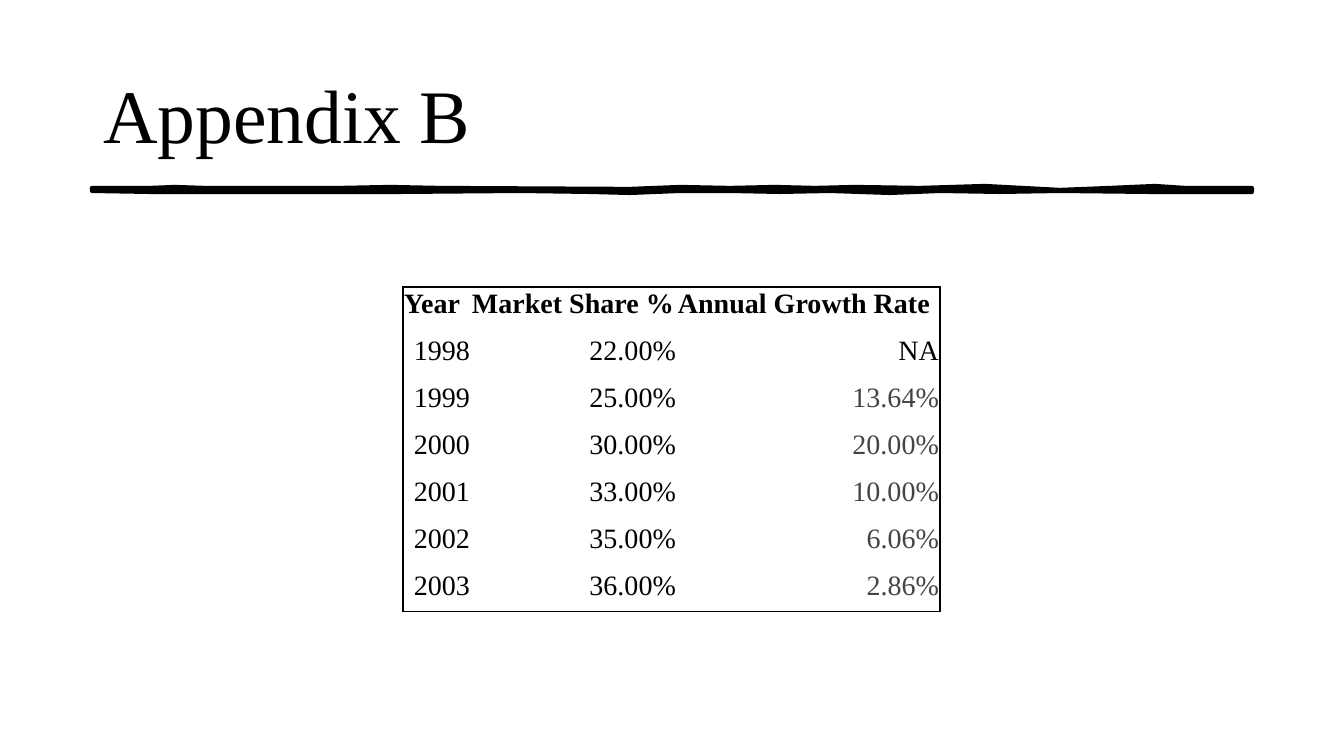
import pptx
import pptx.dml.color
import pptx.enum.text
import pptx.oxml
import pptx.oxml.ns
import pptx.util

PX = 12192000 / 1344
FONT = "Times New Roman"
BLACK, GREY = "000000", "444444"

TITLE = "Appendix B"
TITLE_BOX = (93, 40, 1159, 146)

HEADER = ("Year", "Market Share %", "Annual Growth Rate")
ROWS = [
    ("1998", "22.00%", "NA"),
    ("1999", "25.00%", "13.64%"),
    ("2000", "30.00%", "20.00%"),
    ("2001", "33.00%", "10.00%"),
    ("2002", "35.00%", "6.06%"),
    ("2003", "36.00%", "2.86%"),
]
TABLE_LEFT, TABLE_TOP = 403, 287
COLUMN_WIDTHS = (68, 206, 263)
HEADER_HEIGHT, ROW_HEIGHT = 43, 47

# Brush stroke under the title: top edge rightwards, bottom edge leftwards
STROKE_TOP = [
    (92, 188), (150, 188), (175, 187), (205, 188), (340, 188), (390, 187),
    (440, 188), (630, 189), (680, 187), (730, 188), (775, 187), (815, 188),
    (855, 187), (920, 188), (985, 186), (1060, 190), (1110, 188),
    (1155, 186), (1185, 188), (1252, 188),
]
STROKE_BOTTOM = [
    (1252, 192), (1150, 192), (1060, 191), (1000, 192), (940, 191),
    (890, 193), (830, 191), (780, 192), (730, 191), (680, 191), (630, 193),
    (590, 192), (520, 191), (400, 192), (340, 192), (230, 192), (150, 192),
    (92, 191),
]


def emu(px):
    return pptx.util.Emu(round(px * PX))


def rgb(hex_color):
    return pptx.dml.color.RGBColor.from_string(hex_color)


def apply_format(target, values):
    for name, value in values.items():
        setattr(target, name, value)


def write(frame, text, size, color, bold=False, align="LEFT", spacing=None):
    para = frame.paragraphs[0]
    para.alignment = getattr(pptx.enum.text.PP_ALIGN, align)
    if spacing:
        para.line_spacing = spacing
    span = para.add_run()
    span.text = text
    apply_format(span.font, {"name": FONT, "size": pptx.util.Pt(size), "bold": bold})
    span.font.color.rgb = rgb(color)


def set_borders(cell, visible):
    """Draw a thin black line on the sides named in visible, none on the others."""
    properties = cell._tc.get_or_add_tcPr()
    for index, side in enumerate("LRTB"):
        paint = "<a:noFill/>"
        if side in visible:
            paint = f'<a:solidFill><a:srgbClr val="{BLACK}"/></a:solidFill>'
        line = pptx.oxml.parse_xml(
            f'<a:ln{side} {pptx.oxml.ns.nsdecls("a")} w="12700">{paint}</a:ln{side}>')
        properties.insert(index, line)


def add_title(page):
    box = page.shapes.title
    left, top, width, height = map(emu, TITLE_BOX)
    apply_format(box, {"left": left, "top": top, "width": width, "height": height})
    apply_format(box.text_frame, {
        "auto_size": pptx.enum.text.MSO_AUTO_SIZE.NONE,
        "vertical_anchor": pptx.enum.text.MSO_ANCHOR.MIDDLE,
        "word_wrap": True,
    })
    write(box.text_frame, TITLE, 54, BLACK)


def add_brush_stroke(page):
    start, *rest = STROKE_TOP + STROKE_BOTTOM
    builder = page.shapes.build_freeform(*start, scale=PX)
    builder.add_line_segments(rest, close=True)
    stroke = builder.convert_to_shape()
    stroke.shadow.inherit = False
    stroke.fill.solid()
    stroke.fill.fore_color.rgb = rgb(BLACK)
    stroke.line.color.rgb = rgb(BLACK)
    stroke.line.width = pptx.util.Pt(3)
    stroke.line._get_or_add_ln().append(
        pptx.oxml.parse_xml(f'<a:round {pptx.oxml.ns.nsdecls("a")}/>'))


def add_share_table(page):
    records = [HEADER] + ROWS
    heights = [HEADER_HEIGHT] + [ROW_HEIGHT] * len(ROWS)
    last_row, last_column = len(records) - 1, len(HEADER) - 1
    table = page.shapes.add_table(
        len(records), len(HEADER), emu(TABLE_LEFT), emu(TABLE_TOP),
        emu(sum(COLUMN_WIDTHS)), emu(sum(heights))).table
    apply_format(table, {"first_row": False, "horz_banding": False})
    for column, width in zip(table.columns, COLUMN_WIDTHS):
        column.width = emu(width)
    for r, record in enumerate(records):
        table.rows[r].height = emu(heights[r])
        for c, text in enumerate(record):
            cell = table.cell(r, c)
            cell.fill.background()
            apply_format(cell, {
                "margin_left": emu(1), "margin_top": emu(1),
                "margin_right": emu(1), "margin_bottom": emu(10),
                "vertical_anchor": pptx.enum.text.MSO_ANCHOR.BOTTOM,
            })
            edges = {"L": c == 0, "R": c == last_column, "T": r == 0, "B": r == last_row}
            set_borders(cell, [side for side, outer in edges.items() if outer])
            if r == 0:
                write(cell.text_frame, text, 20, BLACK, bold=True)
            else:
                is_rate = c == last_column and text != "NA"
                write(cell.text_frame, text, 20, GREY if is_rate else BLACK,
                      align="RIGHT", spacing=None if text == "NA" else 1.15)


def main():
    deck = pptx.Presentation()
    deck.slide_width, deck.slide_height = emu(1344), emu(756)
    page = deck.slides.add_slide(deck.slide_layouts.get_by_name("Title Only"))
    add_brush_stroke(page)
    add_title(page)
    add_share_table(page)
    deck.save("out.pptx")


if __name__ == "__main__":
    main()
